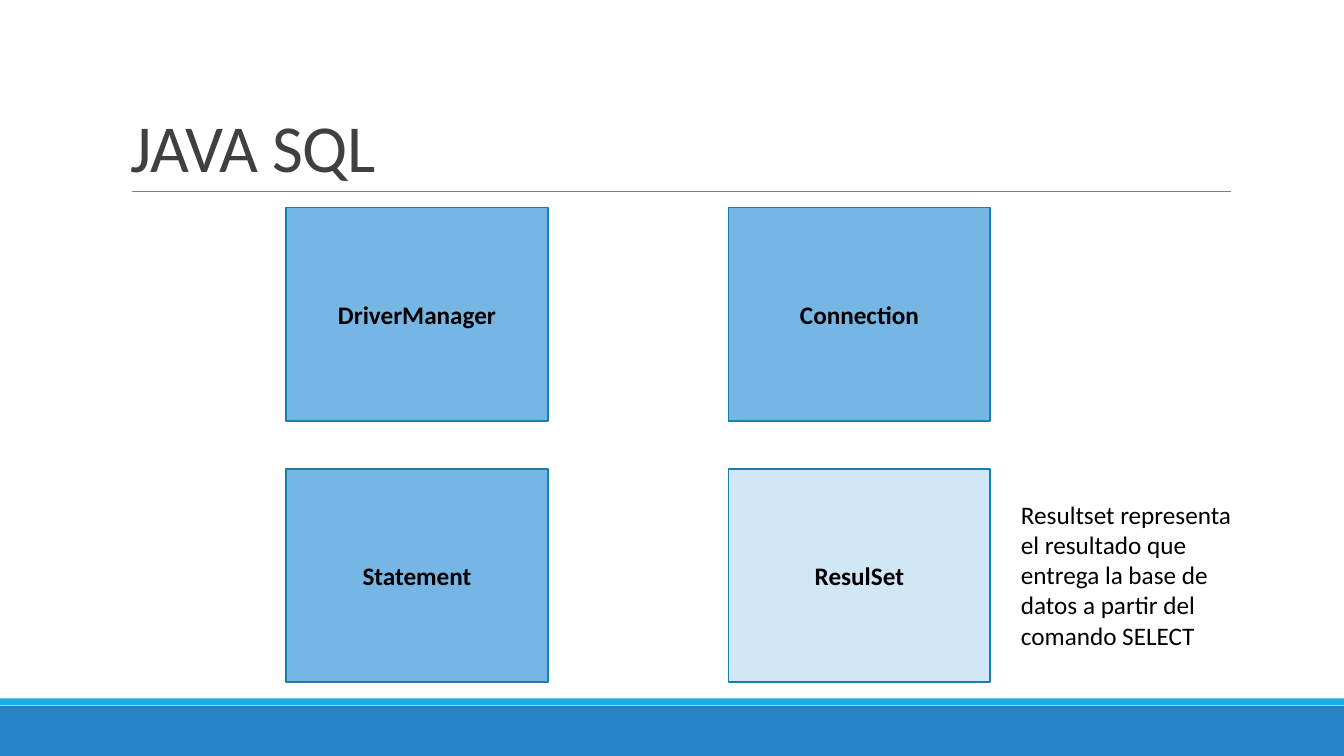
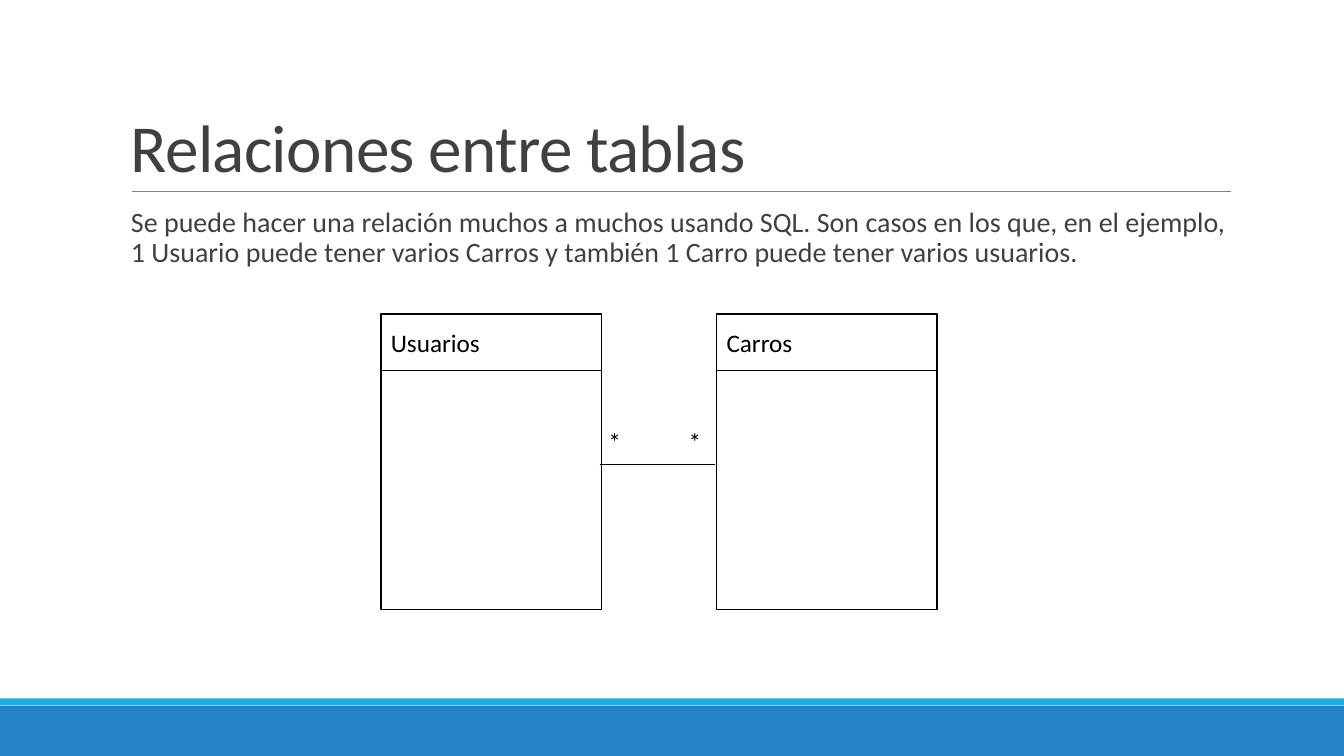
from lxml import etree
from pptx import Presentation
from pptx import util as u
from pptx.dml.color import RGBColor
from pptx.enum import shapes, text
from pptx.oxml.ns import qn

FONT = "Calibri"
BLACK, WHITE, GRAY, RULE = "000000", "FFFFFF", "404040", "808080"
BAND, STRIPE, BORDER = "2683C6", "1CADE4", "1580A9"
CLASS_FILL, RESULT_FILL = "75B6E5", "D1E7F6"
WIDTH, HEIGHT = 33.87, 19.05
LEFT, CENTER = text.PP_ALIGN.LEFT, text.PP_ALIGN.CENTER
TOP, MIDDLE, BOTTOM = text.MSO_ANCHOR.TOP, text.MSO_ANCHOR.MIDDLE, text.MSO_ANCHOR.BOTTOM


def color(value):
    return RGBColor.from_string(value)


def lengths(box):
    return [u.Cm(value) for value in box]


def write(shape, content, size=18, fill=BLACK, bold=False, align=LEFT,
          anchor=MIDDLE, line_spacing=None, tracking=None):
    frame = shape.text_frame
    frame.word_wrap = True
    frame.vertical_anchor = anchor
    paragraph = frame.paragraphs[0]
    paragraph.alignment = align
    paragraph.line_spacing = line_spacing
    run = paragraph.add_run()
    run.text = content
    run.font.name = FONT
    run.font.size = u.Pt(size)
    run.font.bold = bold
    run.font.color.rgb = color(fill)
    if tracking is not None:
        run._r.get_or_add_rPr().set("spc", str(round(tracking * 100)))


def add_text(slide, box, content, **style):
    write(slide.shapes.add_textbox(*lengths(box)), content, **style)


def add_rectangle(slide, box, fill, line=None):
    shape = slide.shapes.add_shape(shapes.MSO_SHAPE.RECTANGLE, *lengths(box))
    shape.shadow.inherit = False
    shape.fill.solid()
    shape.fill.fore_color.rgb = color(fill)
    if line:
        shape.line.color.rgb = color(line)
        shape.line.width = u.Pt(1.25)
    else:
        shape.line.fill.background()
    return shape


def add_rule(slide, left, right, top, line, width):
    connector = slide.shapes.add_connector(
        shapes.MSO_CONNECTOR.STRAIGHT, *lengths((left, top, right, top)))
    connector.line.color.rgb = color(line)
    connector.line.width = u.Pt(width)
    etree.SubElement(connector._element.spPr, qn("a:effectLst"))


def add_base_slide(presentation, title):
    slide = presentation.slides.add_slide(presentation.slide_layouts[6])
    add_rectangle(slide, (0, HEIGHT - 1.27, WIDTH, 1.27), BAND)
    add_rectangle(slide, (0, HEIGHT - 1.45, WIDTH, 0.17), STRIPE)
    add_rule(slide, 3.33, 31.01, 4.83, RULE, 0.5)
    add_text(slide, (3.05, 0.79, 27.94, 4.04), title, size=48, fill=GRAY,
             anchor=BOTTOM, line_spacing=0.85, tracking=-0.5)
    return slide


def add_class_grid(slide, box, classes):
    left, top, width, height = box
    card_width, card_height = 6.6, 5.38
    for index, (name, fill) in enumerate(classes):
        row, column = divmod(index, 2)
        card = add_rectangle(
            slide, (left + column * (width - card_width),
                    top + row * (height - card_height),
                    card_width, card_height), fill, BORDER)
        write(card, name, bold=True, align=CENTER)


def add_entity(slide, box, name):
    left, top, width, height = box
    add_rectangle(slide, box, WHITE, BLACK)
    header = add_rectangle(slide, (left, top, width, 1.42), WHITE, BLACK)
    write(header, name)


def add_relation(slide, box, names, marks):
    left, top, width, height = box
    entity_width = 5.56
    right = left + width - entity_width
    for entity_left, name in zip((left, right), names):
        add_entity(slide, (entity_left, top, entity_width, height), name)
    line_left, line_right, line_top = left + entity_width - 0.05, right - 0.05, top + 3.79
    mark_width = 0.9
    mark_lefts = (line_left - 0.07, line_right - mark_width - 0.05)
    for mark_left, mark in zip(mark_lefts, marks):
        add_text(slide, (mark_left, line_top - 1.09, mark_width, 1.02), mark,
                 align=CENTER, anchor=TOP)
    add_rule(slide, line_left, line_right, line_top, BLACK, 1)


def build_classes_slide(presentation):
    slide = add_base_slide(presentation, "JAVA SQL")
    add_class_grid(slide, (7.21, 5.23, 17.75, 11.96), [
        ("DriverManager", CLASS_FILL), ("Connection", CLASS_FILL),
        ("Statement", CLASS_FILL), ("ResulSet", RESULT_FILL)])
    add_text(slide, (25.48, 12.45, 5.84, 4.11),
             "Resultset representa el resultado que entrega la base de datos "
             "a partir del comando SELECT", anchor=TOP)


def build_relation_slide(presentation):
    slide = add_base_slide(presentation, "Relaciones entre tablas")
    add_text(slide, (3.05, 5.13, 28.19, 2.2),
             "Se puede hacer una relación muchos a muchos usando SQL. Son casos "
             "en los que, en el ejemplo, 1 Usuario puede tener varios Carros y "
             "también 1 Carro puede tener varios usuarios.",
             size=20, fill=GRAY, anchor=TOP, line_spacing=0.9)
    add_relation(slide, (9.6, 7.92, 14.02, 7.44), ("Usuarios", "Carros"), ("*", "*"))


presentation = Presentation()
presentation.slide_width = u.Cm(WIDTH)
presentation.slide_height = u.Cm(HEIGHT)
build_classes_slide(presentation)
build_relation_slide(presentation)
presentation.save("out.pptx")
